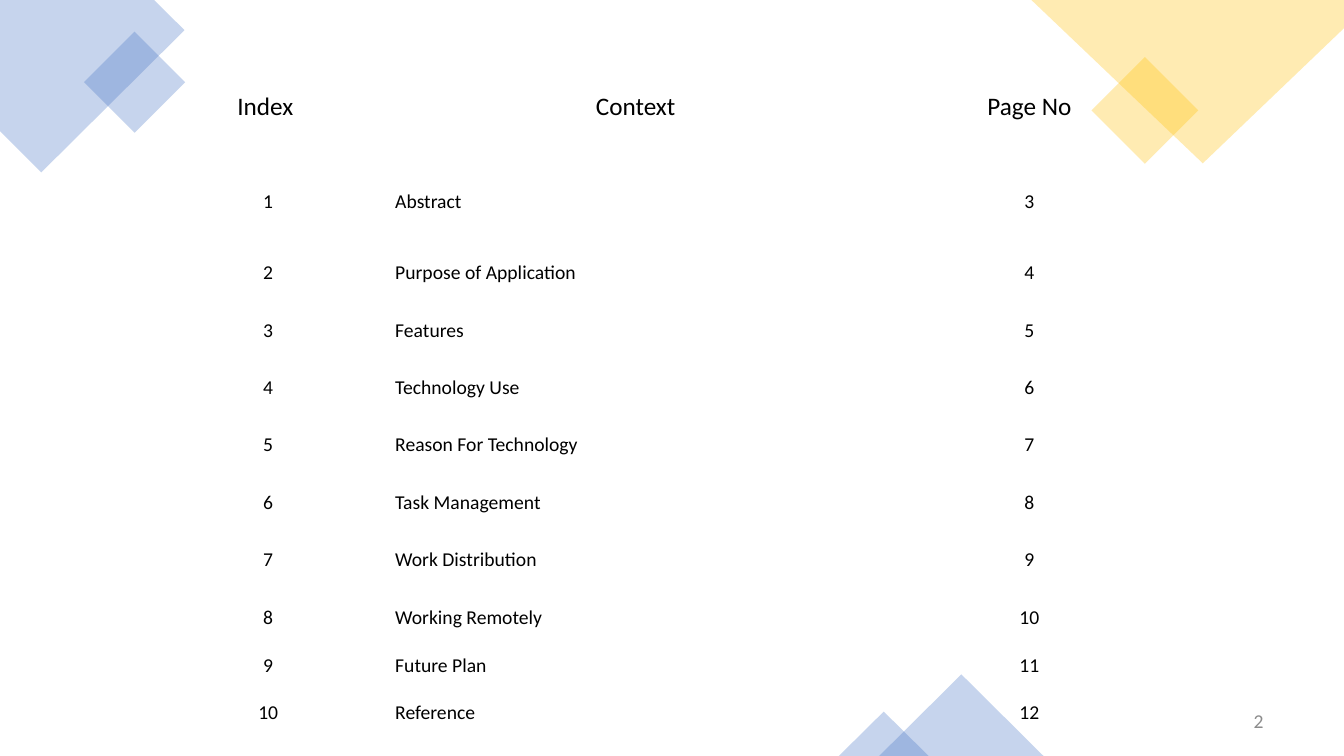
from dataclasses import dataclass

from lxml.etree import SubElement
from pptx import Presentation
from pptx.dml.color import RGBColor
from pptx.enum.shapes import MSO_SHAPE
from pptx.enum.text import MSO_ANCHOR, PP_ALIGN
from pptx.oxml.ns import qn
from pptx.util import Inches, Pt


@dataclass(frozen=True)
class Theme:
    """Colours, font and type sizes of the deck."""

    blue: RGBColor = RGBColor(0x44, 0x72, 0xC4)
    gold: RGBColor = RGBColor(0xFF, 0xC0, 0x00)
    ink: RGBColor = RGBColor(0, 0, 0)
    muted: RGBColor = RGBColor(0x8C, 0x8C, 0x8C)
    font: str = "Calibri"
    header_size: int = 18
    body_size: int = 14
    body_line: float = 17.09
    opacity: int = 30
    plain_table: str = "{2D5ABB26-0587-4C30-8999-92F81FD0307C}"


THEME = Theme()
HEADINGS = ("Index ", "Context", "Page No")
TOPICS = (
    "Abstract", "Purpose of Application", "Features", "Technology Use",
    "Reason For Technology ", "Task Management", "Work Distribution",
    "Working Remotely", "Future Plan", "Reference",
)
FIRST_PAGE = 3
ROW_GROUPS = ((0, 2, 2), (2, 3, 0), (3, 4, 0), (4, 5, 0), (5, 6, 0), (6, 7, 0), (7, 10, 1))
COLUMN_WIDTHS = (2.04, 5.25, 2.56)
ROW_HEIGHTS = (0.97, 1.28) + (0.57,) * 5 + (1.52,)


def tint(shape, color):
    """Give a shape a translucent fill with no line or shadow."""
    shape.shadow.inherit = False
    shape.line.fill.background()
    shape.fill.solid()
    shape.fill.fore_color.rgb = color
    fill_color = shape.fill._xPr.find(qn("a:solidFill"))[0]
    SubElement(fill_color, qn("a:alpha"), val=str(THEME.opacity * 1000))


def add_polygon(page, points, color):
    """Draw a closed translucent outline through the points."""
    corners = [(Inches(x), Inches(y)) for x, y in points]
    builder = page.shapes.build_freeform(*corners[0], scale=1.0)
    builder.add_line_segments(corners[1:], close=True)
    tint(builder.convert_to_shape(), color)


def add_preset(page, kind, box, color, rotation=0):
    """Draw a translucent preset shape in the box."""
    shape = page.shapes.add_shape(kind, *map(Inches, box))
    shape.rotation = rotation
    tint(shape, color)


def add_decoration(page):
    """Draw the overlapping corner and bottom shapes."""
    add_polygon(page, ((1.53, 0), (0, 0), (0, 1.3), (0.41, 1.71), (1.83, 0.3)), THEME.blue)
    add_preset(page, MSO_SHAPE.RECTANGLE, (0.98, 0.46, 0.71, 0.71), THEME.blue, 315)
    add_preset(page, MSO_SHAPE.RECTANGLE, (10.98, 0.72, 0.75, 0.75), THEME.gold, 315)
    add_polygon(page, ((13.33, 0), (10.23, 0), (11.93, 1.62), (13.33, 0.28)), THEME.gold)
    add_preset(page, MSO_SHAPE.ISOSCELES_TRIANGLE, (8.72, 6.69, 1.63, 0.81), THEME.blue)
    add_preset(page, MSO_SHAPE.ISOSCELES_TRIANGLE, (8.32, 7.06, 0.89, 0.44), THEME.blue)


def write(para, text, size, color, align):
    """Add one formatted run to a paragraph."""
    para.alignment = align
    span = para.add_run()
    span.text = text
    span.font.name = THEME.font
    span.font.size = Pt(size)
    span.font.color.rgb = color


def fill_cell(cell, lines, size, align, gap_lines=0):
    """Write lines into an unfilled cell, spaced by whole line gaps."""
    cell.fill.background()
    cell.vertical_anchor = MSO_ANCHOR.TOP
    cell.margin_left = cell.margin_right = Inches(0.24)
    cell.margin_top, cell.margin_bottom = Inches(0.17), Inches(0.16)
    for position, line in enumerate(lines):
        para = cell.text_frame.add_paragraph() if position else cell.text_frame.paragraphs[0]
        if position and gap_lines:
            para.space_before = Pt(gap_lines * THEME.body_line)
        write(para, line, size, THEME.ink, align)


def add_contents(page, box):
    """Place the table of contents in the box."""
    frame = page.shapes.add_table(len(ROW_HEIGHTS), len(COLUMN_WIDTHS), *map(Inches, box))
    table = frame.table
    table.first_row = table.horz_banding = False
    table._tbl.tblPr.find(qn("a:tableStyleId")).text = THEME.plain_table
    for column, width in zip(table.columns, COLUMN_WIDTHS):
        column.width = Inches(width)
    for row, height in zip(table.rows, ROW_HEIGHTS):
        row.height = Inches(height)
    for column, heading in enumerate(HEADINGS):
        fill_cell(table.cell(0, column), [heading], THEME.header_size, PP_ALIGN.CENTER)
    aligns = (PP_ALIGN.CENTER, PP_ALIGN.LEFT, PP_ALIGN.CENTER)
    for row, (start, stop, gap_lines) in enumerate(ROW_GROUPS, 1):
        entries = range(start, stop)
        contents = (
            [str(entry + 1) for entry in entries],
            TOPICS[start:stop],
            [str(entry + FIRST_PAGE) for entry in entries],
        )
        for column, (lines, align) in enumerate(zip(contents, aligns)):
            fill_cell(table.cell(row, column), lines, THEME.body_size, align, gap_lines)


def add_page_number(page, box, number):
    """Place the page number at the right of the box."""
    frame = page.shapes.add_textbox(*map(Inches, box)).text_frame
    frame.word_wrap = True
    frame.vertical_anchor = MSO_ANCHOR.MIDDLE
    para = frame.paragraphs[0]
    para.space_after = Pt(6)
    write(para, str(number), THEME.body_size, THEME.muted, PP_ALIGN.RIGHT)


def main():
    """Build and save the contents page."""
    deck = Presentation()
    deck.slide_width, deck.slide_height = Inches(13.33), Inches(7.5)
    page = deck.slides.add_slide(deck.slide_layouts[6])
    add_decoration(page)
    add_page_number(page, (9.63, 6.95, 3, 0.4), 2)
    add_contents(page, (1.64, 0.74, sum(COLUMN_WIDTHS), sum(ROW_HEIGHTS)))
    deck.save("out.pptx")


if __name__ == "__main__":
    main()
